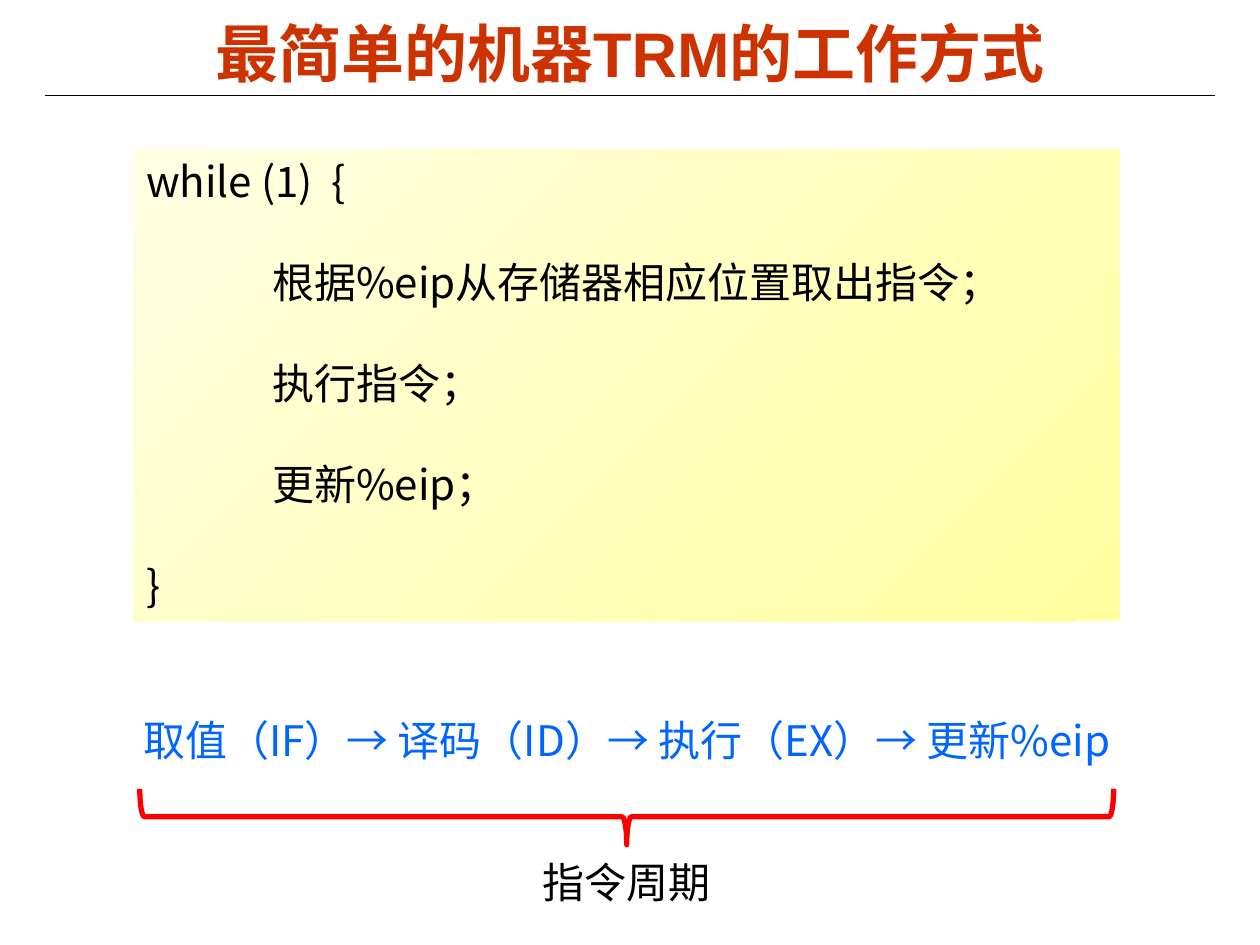
import pptx
import pptx.util
import pptx.dml.color
import pptx.enum.shapes
import pptx.enum.text
import pptx.oxml
import pptx.oxml.ns

Pt = pptx.util.Pt
SHAPES = pptx.enum.shapes.MSO_SHAPE
ALIGN = pptx.enum.text.PP_ALIGN
BODY_FONT = "Noto Sans CJK SC"


def color(value):
    return pptx.dml.color.RGBColor.from_string(value)


def format_paragraph(paragraph, align, ink, size=24, font=BODY_FONT, bold=False):
    paragraph.alignment = align
    paragraph.font.name = font
    paragraph.font.size = Pt(size)
    paragraph.font.bold = bold
    paragraph.font.color.rgb = color(ink)
    for run in paragraph.runs:
        east_asian = pptx.oxml.parse_xml(
            f'<a:ea {pptx.oxml.ns.nsdecls("a")} typeface="{font}"/>')
        run._r.get_or_add_rPr().append(east_asian)


def add_heading(slide, left, top, width, height):
    title = slide.shapes.title
    title.left, title.top = Pt(left), Pt(top)
    title.width, title.height = Pt(width), Pt(height)
    frame = title.text_frame
    frame.text = "最简单的机器TRM的工作方式"
    frame.vertical_anchor = pptx.enum.text.MSO_ANCHOR.MIDDLE
    frame.auto_size = pptx.enum.text.MSO_AUTO_SIZE.NONE
    format_paragraph(frame.paragraphs[0], ALIGN.CENTER, "CC3300", 36, "Arial", True)

    rule_y = Pt(top + height + 2.6)
    rule = slide.shapes.add_connector(
        pptx.enum.shapes.MSO_CONNECTOR.STRAIGHT,
        Pt(left - 10.4), rule_y, Pt(left + width + 10.4), rule_y)
    rule.line.color.rgb = color("000000")
    rule.line.width = Pt(0.75)
    rule._element.spPr.append(
        pptx.oxml.parse_xml(f'<a:effectLst {pptx.oxml.ns.nsdecls("a")}/>'))


def add_loop(slide, left, top, width, height):
    loop = slide.shapes.add_shape(
        SHAPES.RECTANGLE, Pt(left), Pt(top), Pt(width), Pt(height))
    loop.shadow.inherit = False
    loop.line.fill.background()
    loop.fill.gradient()
    loop.fill.gradient_angle = 135
    for stop, shade in zip(loop.fill.gradient_stops, ("FFFFA0", "FFFFE3")):
        stop.color.rgb = color(shade)
    frame = loop.text_frame
    frame.word_wrap = True
    frame.vertical_anchor = pptx.enum.text.MSO_ANCHOR.TOP
    statements = (
        ("while (1)  {", 0),
        ("根据%eip从存储器相应位置取出指令；", 72),
        ("执行指令；", 72),
        ("更新%eip；", 72),
        ("}", 0))
    frame.text = "\n".join(text for text, indent in statements)
    for paragraph, (text, indent) in zip(frame.paragraphs, statements):
        format_paragraph(paragraph, ALIGN.LEFT, "000000")
        paragraph._p.get_or_add_pPr().set("marL", str(Pt(indent)))
        paragraph.space_before = Pt(28.8)
    frame.paragraphs[0].space_before = Pt(0)


def add_caption(slide, text, ink, left, top, width, height):
    caption = slide.shapes.add_textbox(Pt(left), Pt(top), Pt(width), Pt(height))
    frame = caption.text_frame
    frame.word_wrap = True
    frame.text = text
    format_paragraph(frame.paragraphs[0], ALIGN.CENTER, ink)


def add_cycle(slide, left, top, width, height):
    caption_height = 36
    add_caption(slide, "取值（IF）→ 译码（ID）→ 执行（EX）→ 更新%eip", "0066FF",
                left, top, width, caption_height)
    add_caption(slide, "指令周期", "000000",
                left, top + height - caption_height, width, caption_height)

    depth, span = 32, 556.5
    center_x, center_y = left + width / 2, top + 62
    brace = slide.shapes.add_shape(
        SHAPES.LEFT_BRACE, Pt(center_x - depth / 2), Pt(center_y - span / 2),
        Pt(depth), Pt(span))
    brace.rotation = 270
    brace.shadow.inherit = False
    brace.fill.background()
    brace.line.color.rgb = color("FF0000")
    brace.line.width = Pt(3)


deck = pptx.Presentation()
deck.slide_width, deck.slide_height = Pt(720), Pt(540)
cycle_slide = deck.slides.add_slide(deck.slide_layouts[5])
add_heading(cycle_slide, 36, 8, 648, 44)
add_loop(cycle_slide, 76.4, 85.6, 563.6, 269.4)
add_cycle(cycle_slide, 69.4, 404.7, 577.5, 117.3)
deck.save("out.pptx")
